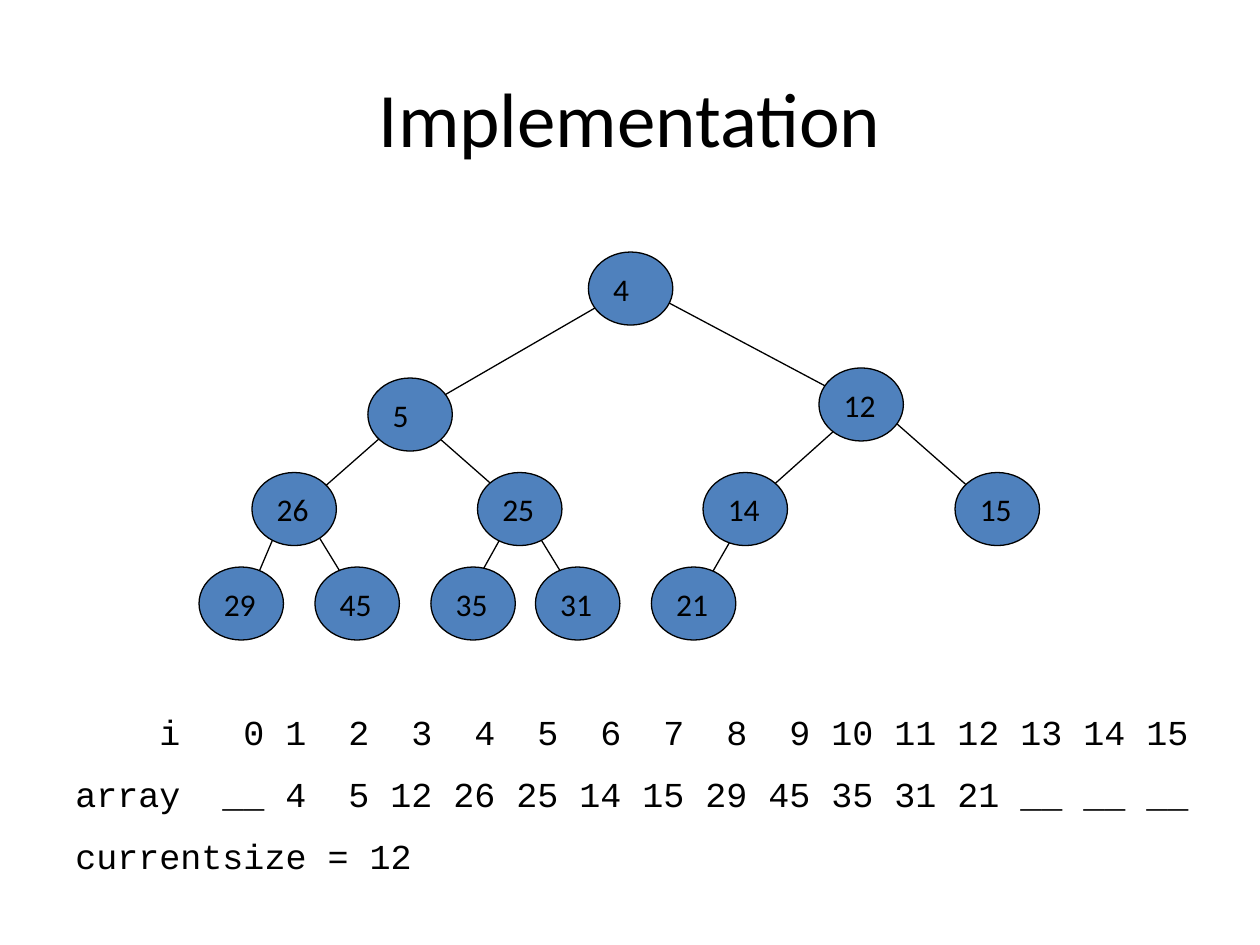
from pptx import Presentation
from pptx.dml.color import RGBColor
from pptx.enum.shapes import MSO_CONNECTOR, MSO_SHAPE
from pptx.enum.text import MSO_ANCHOR, PP_ALIGN
from pptx.oxml.ns import qn
from pptx.util import Inches, Pt
from lxml.etree import SubElement

COLORS = {"ink": "000000", "node": "4F81BD"}
NODE_WIDTH, NODE_HEIGHT = 0.67, 0.58
CHARACTER_WIDTH = 1 / 6

HEAP = [4, 5, 12, 26, 25, 14, 15, 29, 45, 35, 31, 21]
CAPACITY = 15
NODE_POSITIONS = [
    (3.09, 0), (1.34, 1), (4.92, 0.92),
    (0.42, 1.75), (2.21, 1.75), (4, 1.75), (6, 1.75),
    (0, 2.5), (0.92, 2.5), (1.84, 2.5), (2.67, 2.5), (3.59, 2.5),
]
EDGES = [
    ((3.34, 0.33), (1.75, 1.25)), ((3.59, 0.33), (5.17, 1.17)),
    ((1.5, 1.42), (0.84, 2)), ((1.84, 1.42), (2.5, 2)),
    ((5.14, 1.33), (4.48, 1.92)), ((5.5, 1.33), (6.17, 1.92)),
    ((0.67, 2.08), (0.42, 2.67)), ((0.84, 2.08), (1.25, 2.75)),
    ((2.5, 2.08), (2.17, 2.67)), ((2.59, 2.08), (3, 2.75)),
    ((4.34, 2.08), (4, 2.67)),
]


def color(name):
    return RGBColor.from_string(COLORS[name])


def add_span(para, text, size, font="Calibri"):
    span = para.add_run()
    span.text = text
    span.font.size = Pt(size)
    span.font.name = font
    span.font.color.rgb = color("ink")


def set_outline(line):
    line.color.rgb = color("ink")
    line.width = Pt(0.75)


def add_title(page, left, top, width, height):
    title = page.shapes.title
    title.left, title.top = Inches(left), Inches(top)
    title.width, title.height = Inches(width), Inches(height)
    title.text_frame.vertical_anchor = MSO_ANCHOR.MIDDLE
    para = title.text_frame.paragraphs[0]
    para.alignment = PP_ALIGN.CENTER
    add_span(para, "Implementation", 44)


def add_edge(page, left, top, start, end):
    edge = page.shapes.add_connector(
        MSO_CONNECTOR.STRAIGHT,
        Inches(left + start[0]), Inches(top + start[1]),
        Inches(left + end[0]), Inches(top + end[1]),
    )
    set_outline(edge.line)
    SubElement(edge._element.spPr, qn("a:effectLst"))


def add_node(page, left, top, value):
    node = page.shapes.add_shape(
        MSO_SHAPE.OVAL, Inches(left), Inches(top),
        Inches(NODE_WIDTH), Inches(NODE_HEIGHT),
    )
    node.shadow.inherit = False
    node.fill.solid()
    node.fill.fore_color.rgb = color("node")
    set_outline(node.line)
    node.text_frame.vertical_anchor = MSO_ANCHOR.MIDDLE
    para = node.text_frame.paragraphs[0]
    para.alignment = PP_ALIGN.LEFT
    add_span(para, str(value), 18)


def add_tree(page, left, top):
    for start, end in EDGES:
        add_edge(page, left, top, start, end)
    for value, (x, y) in zip(HEAP, NODE_POSITIONS):
        add_node(page, left + x, top + y, value)


def add_right_tabs(para, character_columns):
    tab_list = SubElement(para._p.get_or_add_pPr(), qn("a:tabLst"))
    for column in character_columns:
        position = Inches(column * CHARACTER_WIDTH)
        SubElement(tab_list, qn("a:tab"), pos=str(int(position)), algn="r")


def add_array(page, left, top, width, height):
    box = page.shapes.add_textbox(
        Inches(left), Inches(top), Inches(width), Inches(height)
    )
    frame = box.text_frame
    frame.word_wrap = True
    frame.vertical_anchor = MSO_ANCHOR.BOTTOM
    value_columns = [9] + [8 + 3 * index for index in range(1, CAPACITY + 1)]
    blanks = ["__"] * (CAPACITY - len(HEAP))
    rows = [
        (["", "i", *range(CAPACITY + 1)], [5, *value_columns]),
        (["array", "__", *HEAP, *blanks], value_columns),
        ([f"currentsize = {len(HEAP)}"], []),
    ]
    for index, (cells, columns) in enumerate(rows):
        para = frame.add_paragraph() if index else frame.paragraphs[0]
        if index:
            para.space_before = Pt(11.5)
        if columns:
            add_right_tabs(para, columns)
        add_span(para, "\t".join(map(str, cells)), 20, "Courier New")


def main():
    deck = Presentation()
    deck.slide_width, deck.slide_height = Inches(10), Inches(7.5)
    page = deck.slides.add_slide(deck.slide_layouts[5])
    add_title(page, 0.5, 0.3, 9, 1.25)
    add_tree(page, 1.58, 2)
    add_array(page, 0.5, 5.58, 9.17, 1.43)
    deck.save("out.pptx")


if __name__ == "__main__":
    main()
